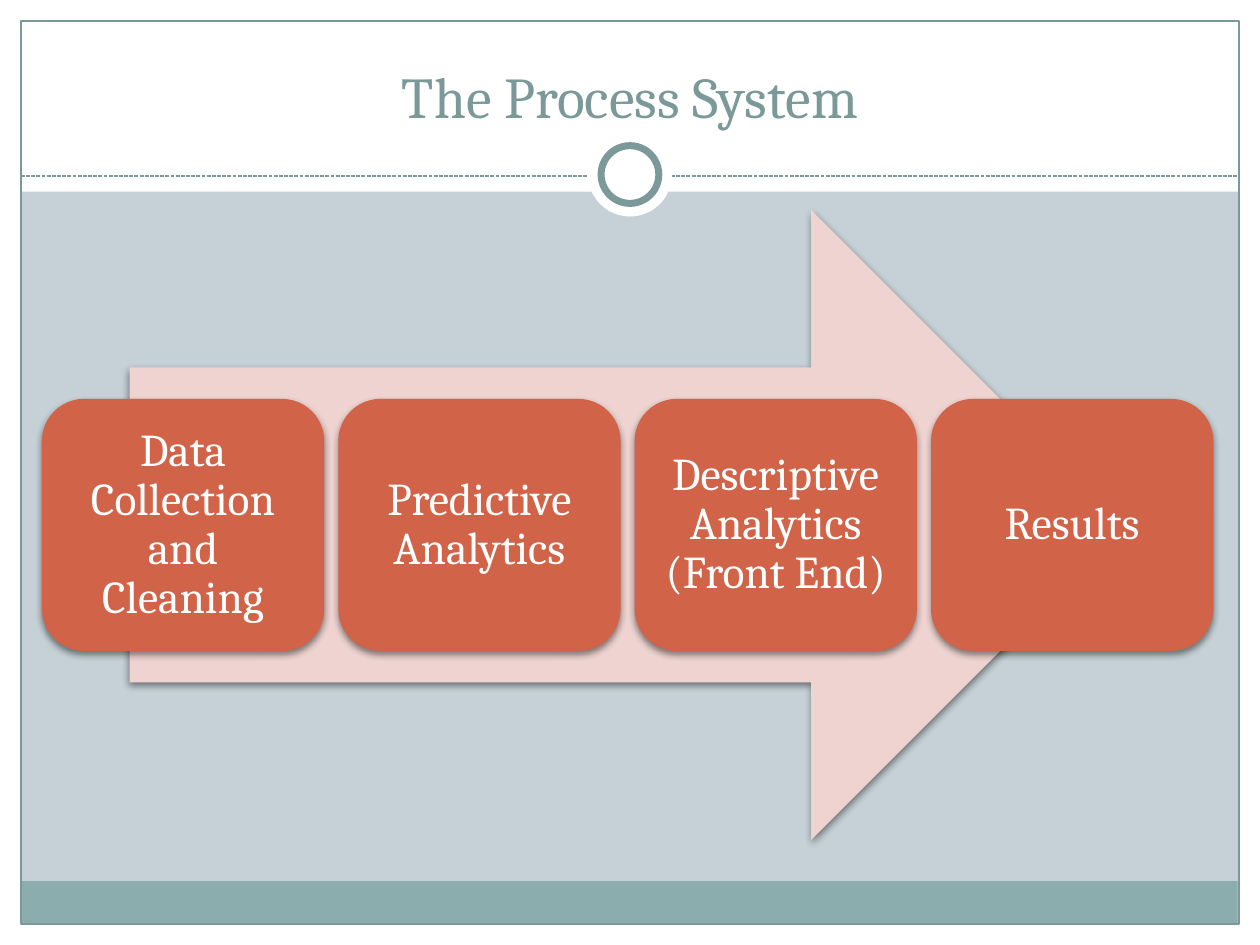
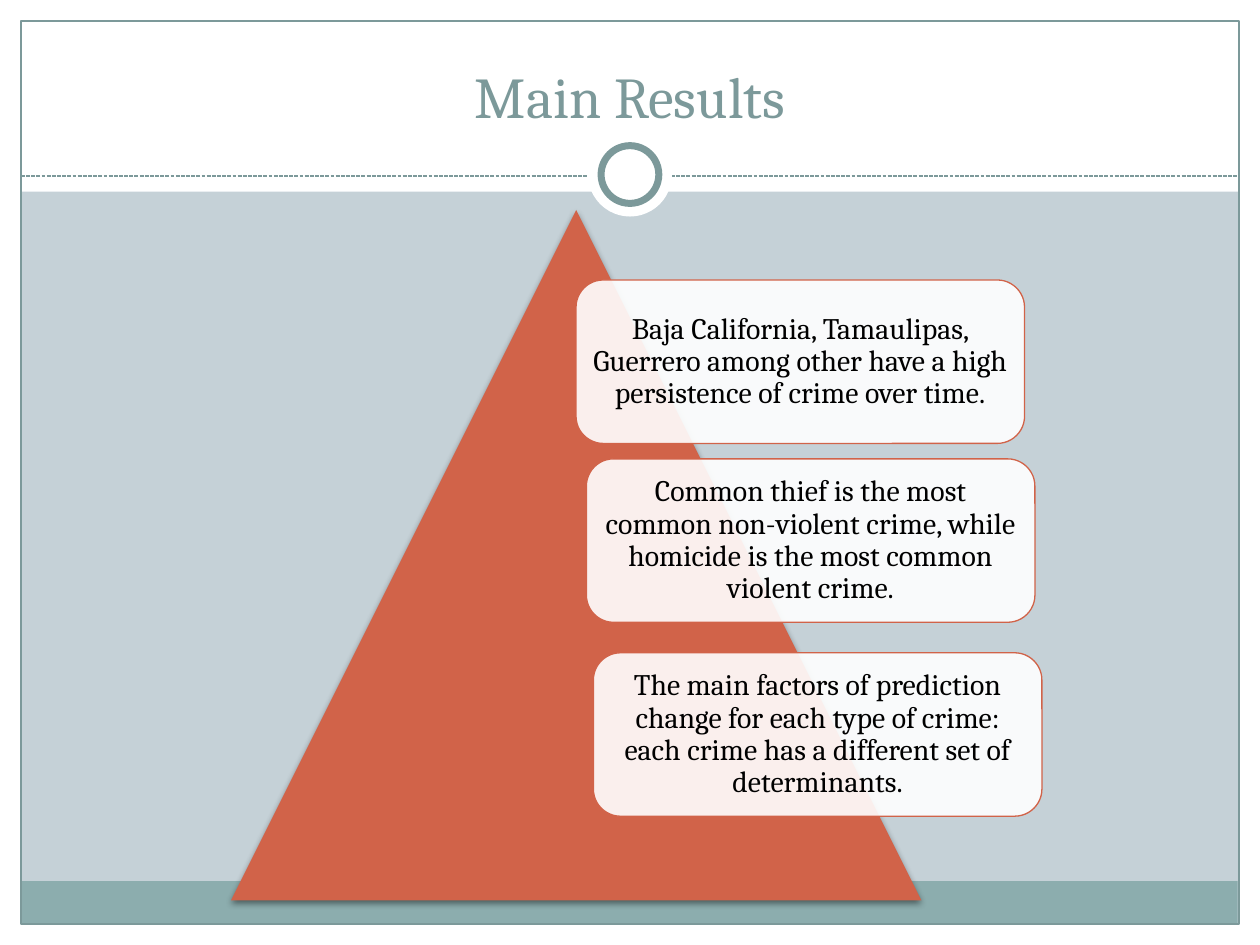
from dataclasses import dataclass
from lxml.etree import SubElement
from pptx import Presentation
from pptx.dml.color import RGBColor
from pptx.enum.dml import MSO_LINE
from pptx.enum.shapes import MSO_CONNECTOR, MSO_SHAPE
from pptx.enum.text import MSO_ANCHOR, MSO_AUTO_SIZE, PP_ALIGN
from pptx.oxml.ns import qn
from pptx.util import Pt


@dataclass(frozen=True)
class Theme:
    white: str = "FFFFFF"
    black: str = "000000"
    ground: str = "C5D1D7"
    slate: str = "7C999A"
    band: str = "8CADAE"
    rust: str = "D16349"
    blush: str = "EED3D0"
    font: str = "Cambria"
    head: int = 33
    step: int = 26
    note: int = 17


WIDTH, HEIGHT, EDGE = 720, 540, 12
TOP = 109.5  # height of the white title area
MID = WIDTH / 2
HUB = 99.75  # centre of the ring


def rgb(code):
    return RGBColor.from_string(code)


def assign(item, values):
    for name, value in values.items():
        setattr(item, name, value)


class Deck:
    def __init__(self, theme):
        self.theme = theme
        self.show = Presentation()
        assign(self.show, {"slide_width": Pt(WIDTH), "slide_height": Pt(HEIGHT)})
        self.slide = None

    def page(self, title):
        self.slide = self.show.slides.add_slide(self.show.slide_layouts[5])
        fill = self.slide.background.fill
        fill.solid()
        fill.fore_color.rgb = rgb(self.theme.ground)
        self.frame()
        self.title(title)

    def frame(self):
        look = self.theme
        # White margins and title area
        for box in ((0, HEIGHT - EDGE, WIDTH, EDGE), (0, 0, WIDTH, TOP),
                    (0, 0, EDGE, HEIGHT), (WIDTH - EDGE, 0, EDGE, HEIGHT)):
            self.shape(MSO_SHAPE.RECTANGLE, box, look.white)
        # Footer band and outline
        self.shape(MSO_SHAPE.RECTANGLE, (11.75, 503.5, 695.5, 24.5), look.band)
        self.shape(MSO_SHAPE.RECTANGLE,
                   (EDGE, EDGE, WIDTH - 2 * EDGE, HEIGHT - 2 * EDGE),
                   line=look.slate)
        # Dashed rule with the ring on it
        self.rule(EDGE, WIDTH - EDGE, 100.6)
        for size, line in ((48, None), (33, look.slate)):
            box = (MID - size / 2, HUB - size / 2, size, size)
            self.shape(MSO_SHAPE.OVAL, box, look.white, line, weight=4)

    def title(self, words):
        shape = self.slide.shapes.title
        place = dict(zip(("left", "top", "width", "height"),
                         map(Pt, (24, 18, 672, 60))))
        assign(shape, place)
        self.label(shape, words, self.theme.head, self.theme.slate,
                   MSO_ANCHOR.BOTTOM)
        # Bring the title in front of the frame
        tree = shape._element.getparent()
        tree.append(shape._element)

    def rule(self, start, end, top):
        line = self.slide.shapes.add_connector(
            MSO_CONNECTOR.STRAIGHT, Pt(start), Pt(top), Pt(end), Pt(top))
        line.line.color.rgb = rgb(self.theme.slate)
        assign(line.line, {"width": Pt(0.75), "dash_style": MSO_LINE.SQUARE_DOT})
        SubElement(line._element.spPr, qn("a:effectLst"))

    def shape(self, kind, box, fill=None, line=None, weight=0.75,
              alpha=None, shadow=False):
        shape = self.slide.shapes.add_shape(kind, *map(Pt, box))
        shape.shadow.inherit = False
        if fill:
            shape.fill.solid()
            shape.fill.fore_color.rgb = rgb(fill)
        else:
            shape.fill.background()
        if line:
            shape.line.color.rgb = rgb(line)
            shape.line.width = Pt(weight)
        else:
            shape.line.fill.background()
        props = shape._element.spPr
        if alpha:
            color = props.find(qn("a:solidFill")).find(qn("a:srgbClr"))
            self.fade(color, alpha)
        if shadow:
            cast = SubElement(props.find(qn("a:effectLst")), qn("a:outerShdw"),
                              blurRad=str(Pt(4)), dist=str(Pt(2)),
                              dir="5400000", rotWithShape="0")
            color = SubElement(cast, qn("a:srgbClr"), val=self.theme.black)
            self.fade(color, 45)
        return shape

    def fade(self, color, share):
        SubElement(color, qn("a:alpha"), val=str(share * 1000))

    def card(self, box, words, size, color, inset, **style):
        shape = self.shape(MSO_SHAPE.ROUNDED_RECTANGLE, box, **style)
        self.label(shape, words, size, color, MSO_ANCHOR.MIDDLE, inset, 0.9)

    def label(self, shape, words, size, color, anchor, inset=None, lead=1.0):
        frame = shape.text_frame
        frame.text = words
        assign(frame, {"word_wrap": True, "auto_size": MSO_AUTO_SIZE.NONE,
                       "vertical_anchor": anchor})
        if inset is not None:
            sides = ("left", "right", "top", "bottom")
            assign(frame, {f"margin_{side}": Pt(inset) for side in sides})
        para = frame.paragraphs[0]
        assign(para, {"alignment": PP_ALIGN.CENTER, "line_spacing": lead})
        font = para.runs[0].font
        assign(font, {"name": self.theme.font, "size": Pt(size)})
        font.color.rgb = rgb(color)


def process(deck):
    look = deck.theme
    deck.page("The Process System")
    deck.shape(MSO_SHAPE.RIGHT_ARROW, (74, 120, 569.5, 360), look.blush,
               shadow=True)
    # Steps in an even row over the arrow
    steps = ("Data Collection and Cleaning", "Predictive Analytics",
             "Descriptive Analytics (Front End)", "Results")
    left, wide, gap = 24, 161.3, 8.05
    for i, words in enumerate(steps):
        box = (left + i * (wide + gap), 228, wide, 144)
        deck.card(box, words, look.step, look.white, 7.8,
                  fill=look.rust, shadow=True)


def results(deck):
    look = deck.theme
    deck.page("Main Results")
    deck.shape(MSO_SHAPE.ISOSCELES_TRIANGLE, (132, 120, 394.5, 394.5),
               look.rust, shadow=True)
    # Findings along the right side of the triangle
    notes = (
        (329.2, 160, "Baja California, Tamaulipas, Guerrero among other "
                     "have a high persistence of crime over time."),
        (335.1, 262.2, "Common thief is the most common non-violent crime, "
                       "while homicide is the most common violent crime."),
        (339.1, 373, "The main factors of prediction change for each type "
                     "of crime: each crime has a different set of "
                     "determinants."),
    )
    for left, top, words in notes:
        deck.card((left, top, 256.3, 93.4), words, look.note, look.black, 5,
                  fill=look.white, line=look.rust, alpha=90)


def main():
    deck = Deck(Theme())
    process(deck)
    results(deck)
    deck.show.save("out.pptx")


if __name__ == "__main__":
    main()
